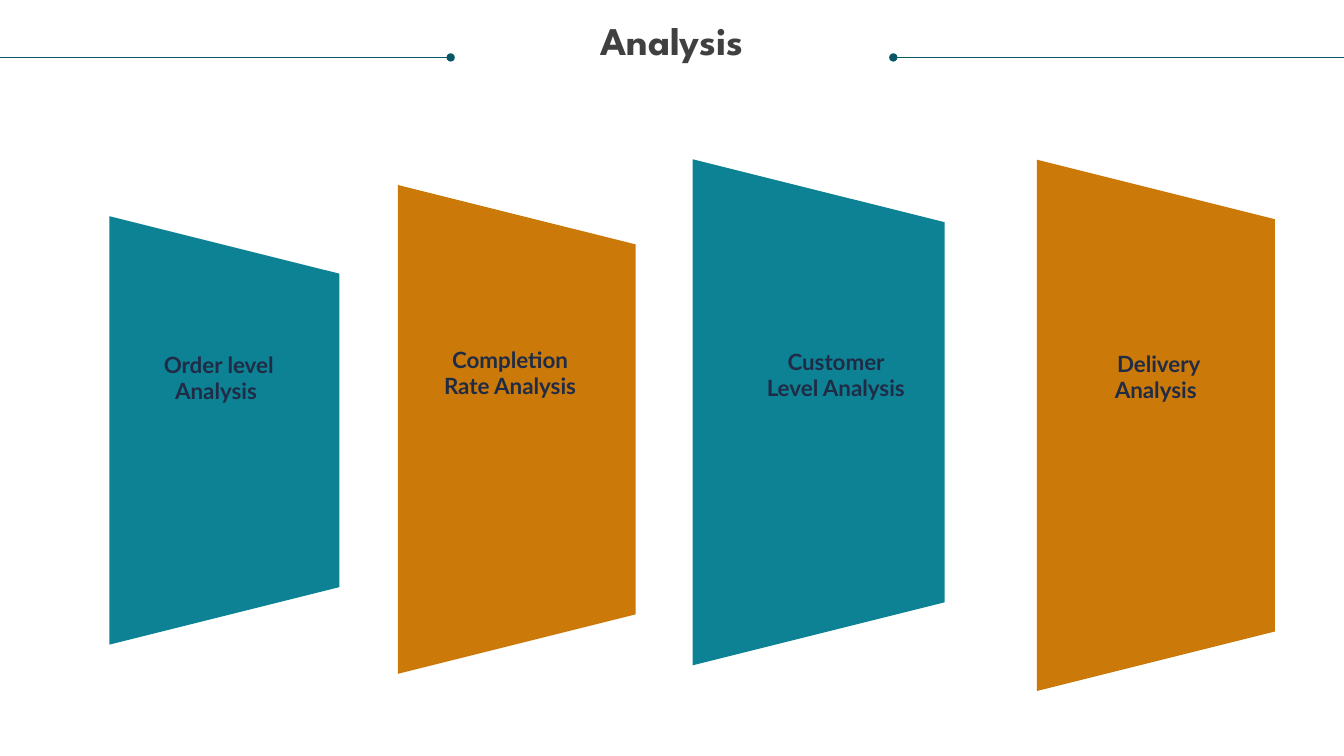
from pptx import Presentation
from pptx.dml.color import RGBColor
from pptx.enum.shapes import MSO_CONNECTOR, MSO_SHAPE
from pptx.enum.text import MSO_ANCHOR, PP_ALIGN
from pptx.oxml.ns import qn
from pptx.util import Inches, Pt
from lxml.etree import SubElement

COLOURS = {
    "title": "404040",
    "label": "202B45",
    "rule": "085764",
    "teal": "0D8295",
    "orange": "CB7A09",
}
SLIDE_WIDTH, SLIDE_HEIGHT = 13.33, 7.5
RULE_Y = 0.57

# text, colour, panel (left, top, width, height before rotation), label (left, top)
PANELS = [
    ("Order level Analysis ", "teal", (0.1, 3.13, 4.25, 2.28), (1.42, 3.48)),
    ("Completion Rate Analysis", "orange", (2.7, 3.08, 4.85, 2.36), (4.31, 3.43)),
    ("Customer Level Analysis", "teal", (5.61, 2.84, 5.02, 2.5), (7.54, 3.45)),
    ("Delivery Analysis ", "orange", (8.83, 3.04, 5.27, 2.36), (10.74, 3.47)),
]


class SlideBuilder:
    def __init__(self, page, colours):
        self.page = page
        self.colours = colours

    def colour(self, name):
        return RGBColor.from_string(self.colours[name])

    def dotted_rule(self, dot_x, edge_x):
        """Draw a line with a round dot at dot_x, running out to the slide edge."""
        rule = self.page.shapes.add_connector(
            MSO_CONNECTOR.STRAIGHT,
            Inches(dot_x), Inches(RULE_Y), Inches(edge_x), Inches(RULE_Y))
        rule.line.color.rgb = self.colour("rule")
        rule.line.width = Pt(0.5)
        SubElement(rule.line._get_or_add_ln(), qn("a:headEnd"), type="oval")
        SubElement(rule._element.spPr, qn("a:effectLst"))

    def panel(self, area, colour):
        """Draw a trapezoid turned so that its tall side faces left."""
        panel = self.page.shapes.add_shape(
            MSO_SHAPE.TRAPEZOID, *(Inches(value) for value in area))
        panel.rotation = 90
        panel.shadow.inherit = False
        panel.fill.solid()
        panel.fill.fore_color.rgb = self.colour(colour)
        panel.line.fill.background()

    def text(self, wording, area, font, size, colour, spacing=1.0):
        box = self.page.shapes.add_textbox(*(Inches(value) for value in area))
        frame = box.text_frame
        frame.word_wrap = True
        frame.vertical_anchor = MSO_ANCHOR.TOP
        frame.margin_left = frame.margin_right = 0
        frame.margin_top = frame.margin_bottom = 0
        para = frame.paragraphs[0]
        para.alignment = PP_ALIGN.CENTER
        para.line_spacing = spacing
        span = para.add_run()
        span.text = wording
        span.font.name = font
        span.font.size = Pt(size)
        span.font.bold = True
        span.font.color.rgb = self.colour(colour)


def main():
    deck = Presentation()
    deck.slide_width = Inches(SLIDE_WIDTH)
    deck.slide_height = Inches(SLIDE_HEIGHT)
    builder = SlideBuilder(deck.slides.add_slide(deck.slide_layouts[6]), COLOURS)

    builder.dotted_rule(8.86, SLIDE_WIDTH)
    builder.text("Analysis", (0.25, 0.21, 12.83, 0.85),
                 "League Spartan", 28, "title", spacing=0.9)
    builder.dotted_rule(4.47, 0)

    for _, colour, area, _ in PANELS:
        builder.panel(area, colour)
    for wording, _, _, corner in PANELS:
        builder.text(wording, (*corner, 1.5, 0.54), "Lato", 16, "label")

    deck.save("out.pptx")


if __name__ == "__main__":
    main()
